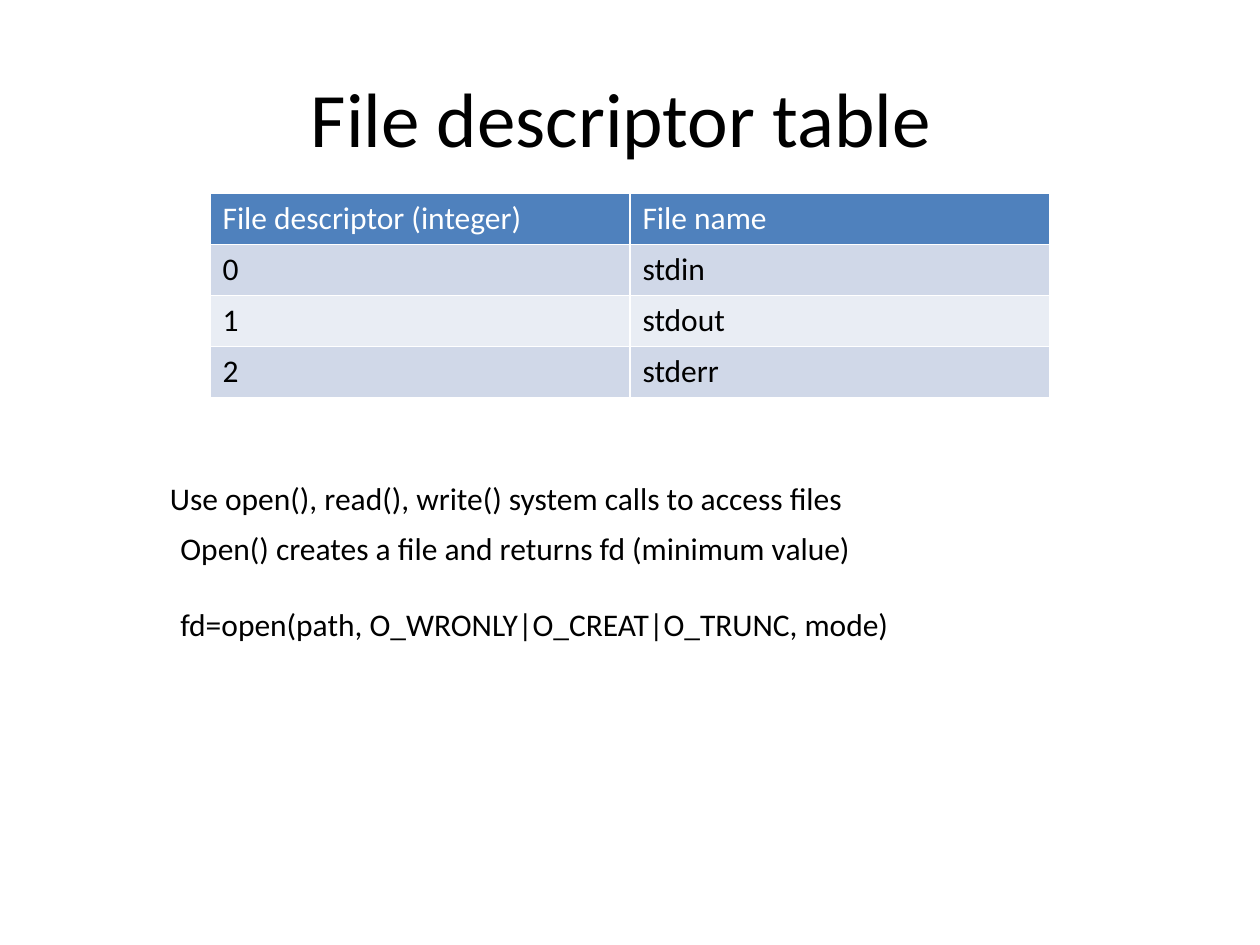
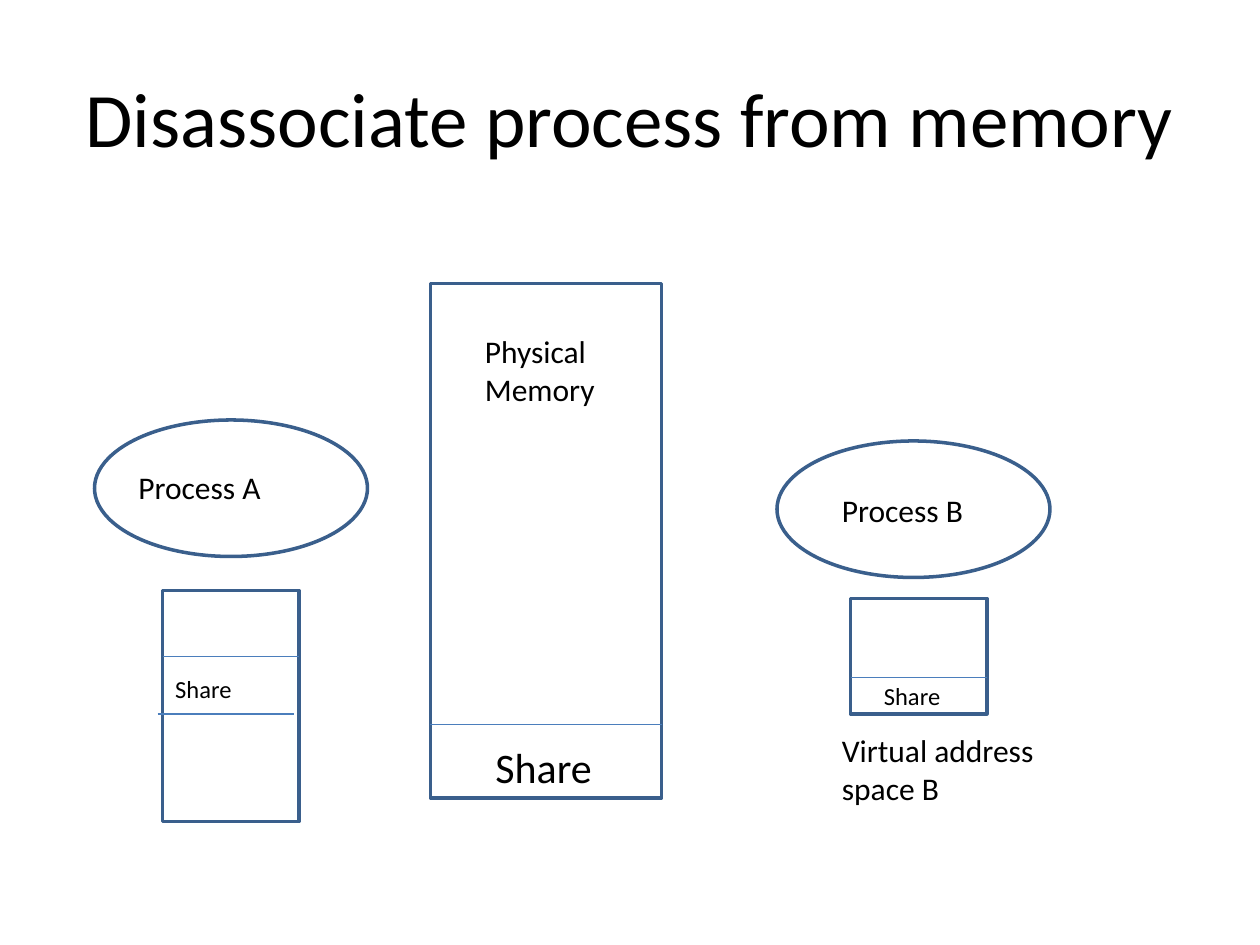
"""Build two operating-system slides: file descriptors and shared memory."""
from lxml.etree import SubElement
from pptx import Presentation
from pptx.dml.color import RGBColor
from pptx.enum.shapes import MSO_CONNECTOR, MSO_SHAPE
from pptx.enum.text import MSO_ANCHOR, PP_ALIGN
from pptx.oxml.ns import qn
from pptx.util import Inches, Pt

COLORS = {
    "text": "000000",
    "white": "FFFFFF",
    "header": "4F81BD",
    "band_dark": "D0D8E8",
    "band_light": "E9EDF4",
    "outline": "3A5F8C",
    "divider": "4B7EBC",
}
FONT = "Calibri"
COLUMNS, ROWS = 120, 90

presentation = Presentation()
presentation.slide_width = Inches(10)
presentation.slide_height = Inches(7.5)
column_width = presentation.slide_width / COLUMNS
row_height = presentation.slide_height / ROWS


def grid(column, row, columns, rows):
    return (round(column * column_width), round(row * row_height),
            round(columns * column_width), round(rows * row_height))


def write(text_frame, lines, size=18, color="text", gap=0):
    text_frame.word_wrap = True
    for index, line in enumerate(lines):
        paragraph = text_frame.add_paragraph() if index else text_frame.paragraphs[0]
        paragraph.space_before = Pt(gap if index else 0)
        run = paragraph.add_run()
        run.text = line
        run.font.name = FONT
        run.font.size = Pt(size)
        run.font.bold = False
        run.font.color.rgb = RGBColor.from_string(COLORS[color])


slides = []
for title in ["File descriptor table ", "Disassociate process from memory"]:
    slide = presentation.slides.add_slide(presentation.slide_layouts[6])
    title_box = slide.shapes.add_textbox(*grid(6, 3.6, 108, 15))
    title_box.text_frame.vertical_anchor = MSO_ANCHOR.MIDDLE
    write(title_box.text_frame, [title], size=44)
    title_box.text_frame.paragraphs[0].alignment = PP_ALIGN.CENTER
    slides.append(slide)
descriptor_slide, memory_slide = slides

descriptors = [
    ("File descriptor (integer) ", "File name"),
    ("0", "stdin"),
    ("1", "stdout"),
    ("2 ", "stderr"),
]
table = descriptor_slide.shapes.add_table(
    len(descriptors), 2, *grid(20, 18.4, 80, 19.45)).table
for row_index, values in enumerate(descriptors):
    fill = "band_dark" if row_index % 2 else "band_light"
    if row_index == 0:
        fill = "header"
    for column_index, value in enumerate(values):
        cell = table.cell(row_index, column_index)
        write(cell.text_frame, [value], color="text" if row_index else "white")
        properties = cell._tc.get_or_add_tcPr()
        for side in ["a:lnL", "a:lnR", "a:lnT", "a:lnB"]:
            border = SubElement(properties, qn(side), w=str(Pt(1)))
            border_fill = SubElement(border, qn("a:solidFill"))
            SubElement(border_fill, qn("a:srgbClr"), val=COLORS["white"])
        cell.fill.solid()
        cell.fill.fore_color.rgb = RGBColor.from_string(COLORS[fill])

usage = descriptor_slide.shapes.add_textbox(*grid(15, 45, 91, 4.8))
write(usage.text_frame, ["Use open(), read(), write() system calls to access files "])
example = descriptor_slide.shapes.add_textbox(*grid(16, 49.8, 74, 12.1))
write(example.text_frame, [
    "Open() creates a file and returns fd (minimum value)",
    "fd=open(path, O_WRONLY|O_CREAT|O_TRUNC, mode)",
], gap=22)

outlines = [
    (MSO_SHAPE.RECTANGLE, (41, 27, 22, 49)),
    (MSO_SHAPE.OVAL, (9, 40, 26, 13)),
    (MSO_SHAPE.OVAL, (74, 42, 26, 13)),
    (MSO_SHAPE.RECTANGLE, (15.5, 56.25, 13, 22)),
    (MSO_SHAPE.RECTANGLE, (81, 57, 13, 11)),
]
for kind, area in outlines:
    shape = memory_slide.shapes.add_shape(kind, *grid(*area))
    shape.shadow.inherit = False
    shape.fill.background()
    shape.line.color.rgb = RGBColor.from_string(COLORS["outline"])
    shape.line.width = Pt(2)

for column, row, length in [(41, 69, 22), (15.5, 62.5, 13), (15, 68, 13), (81, 64.5, 13)]:
    left, top, width, height = grid(column, row, length, 0)
    divider = memory_slide.shapes.add_connector(
        MSO_CONNECTOR.STRAIGHT, left, top, left + width, top)
    divider.line.color.rgb = RGBColor.from_string(COLORS["divider"])
    divider.line.width = Pt(0.75)
    SubElement(divider._element.spPr, qn("a:effectLst"))

labels = [
    ("Process A", 18, (12, 44, 19, 4.8)),
    ("Process B", 18, (79, 46.2, 19, 4.8)),
    ("Physical Memory", 18, (45, 31, 16, 8.5)),
    ("Virtual address space B", 18, (79, 69, 25, 8.5)),
    ("Share", 14, (15.5, 63.6, 21, 4.1)),
    ("Share", 14, (83, 64.3, 21, 4.1)),
    ("Share", 24, (46, 70, 21, 6)),
]
for text, size, area in labels:
    label = memory_slide.shapes.add_textbox(*grid(*area))
    write(label.text_frame, [text], size=size)

presentation.save("out.pptx")
